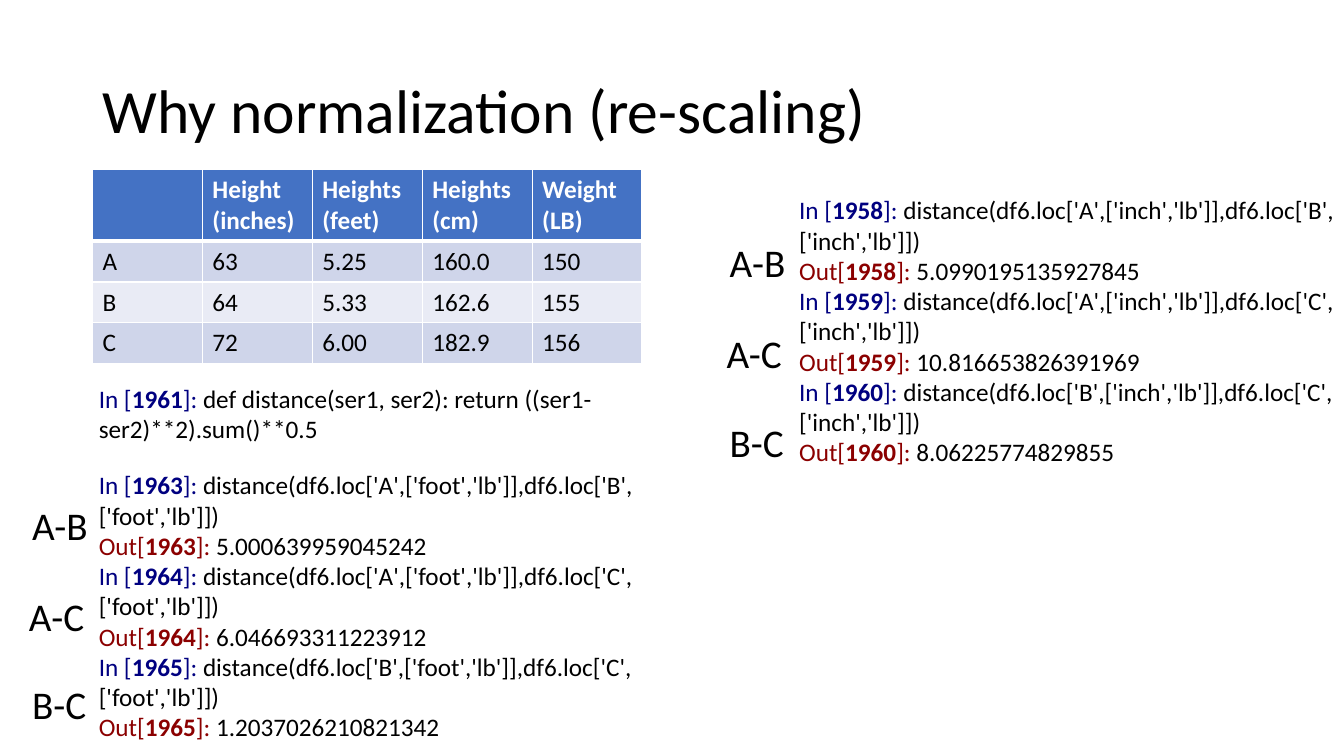
from lxml.etree import SubElement
from pptx import Presentation
from pptx.dml.color import RGBColor
from pptx.enum.text import MSO_ANCHOR, MSO_AUTO_SIZE, PP_ALIGN
from pptx.oxml import parse_xml
from pptx.oxml.ns import nsdecls, qn
from pptx.util import Cm, Pt

BLACK = RGBColor(0x00, 0x00, 0x00)
WHITE = RGBColor(0xFF, 0xFF, 0xFF)
NAVY = RGBColor(0x00, 0x00, 0x80)
DARK_RED = RGBColor(0x8B, 0x00, 0x00)
HEADER_BLUE = RGBColor(0x44, 0x72, 0xC4)
BAND_DARK = RGBColor(0xCF, 0xD5, 0xEA)
BAND_LIGHT = RGBColor(0xE9, 0xEB, 0xF5)

MEASUREMENTS = [
    ["", "Height (inches)", "Heights (feet)", "Heights (cm)", "Weight (LB)"],
    ["A", "63", "5.25", "160.0", "150"],
    ["B", "64", "5.33", "162.6", "155"],
    ["C", "72", "6.00", "182.9", "156"],
]
PAIRS = ["AB", "AC", "BC"]
INCH_RESULTS = ["5.0990195135927845", "10.816653826391969", "8.06225774829855"]
FOOT_RESULTS = ["5.000639959045242", "6.046693311223912", "1.2037026210821342"]


def add_span(para, text, size=18, color=BLACK, bold=False):
    """Append formatted text to a paragraph."""
    span = para.add_run()
    span.text = text
    span.font.name = "Calibri"
    span.font.size = Pt(size)
    span.font.bold = bold
    span.font.color.rgb = color


def add_box(page, left, top, width, height, wrap=True):
    """Add a text box, given in centimetres, and return its text frame."""
    box = page.shapes.add_textbox(Cm(left), Cm(top), Cm(width), Cm(height))
    frame = box.text_frame
    frame.word_wrap = wrap
    frame.auto_size = MSO_AUTO_SIZE.SHAPE_TO_FIT_TEXT
    return frame


def set_title(page, text):
    """Place and format the title placeholder."""
    title = page.shapes.title
    title.left, title.top = Cm(2.33), Cm(1.01)
    title.width, title.height = Cm(29.21), Cm(3.68)
    frame = title.text_frame
    frame.auto_size = MSO_AUTO_SIZE.NONE
    frame.vertical_anchor = MSO_ANCHOR.MIDDLE
    para = frame.paragraphs[0]
    para.alignment = PP_ALIGN.LEFT
    para.line_spacing = 0.9
    add_span(para, text, size=44)


def set_borders(cell, bottom):
    """Give a cell white borders, with its own bottom width in points."""
    properties = cell._tc.get_or_add_tcPr()
    widths = {"lnL": 1, "lnR": 1, "lnT": 1, "lnB": bottom}
    for position, (side, width) in enumerate(widths.items()):
        line = parse_xml(f'<a:{side} {nsdecls("a")} w="{Pt(width)}"/>')
        fill = SubElement(line, qn("a:solidFill"))
        SubElement(fill, qn("a:srgbClr"), val=str(WHITE))
        properties.insert(position, line)


def add_measurements(page):
    """Add the banded table of heights and weights."""
    rows, columns = len(MEASUREMENTS), len(MEASUREMENTS[0])
    frame = page.shapes.add_table(
        rows, columns, Cm(2.33), Cm(4.27), Cm(2.77 * columns), Cm(1.03 * rows))
    for row, values in enumerate(MEASUREMENTS):
        header = row == 0
        band = BAND_DARK if row % 2 else BAND_LIGHT
        for column, value in enumerate(values):
            cell = frame.table.cell(row, column)
            cell.fill.solid()
            cell.fill.fore_color.rgb = HEADER_BLUE if header else band
            set_borders(cell, bottom=3 if header else 1)
            if value:
                add_span(cell.text_frame.paragraphs[0], value,
                         color=WHITE if header else BLACK, bold=header)


def add_code_line(para, prompt, number, code, color):
    """Write one console line with a coloured prompt and a bold number."""
    add_span(para, f"{prompt}[", color=color)
    add_span(para, str(number), color=color, bold=True)
    add_span(para, "]:", color=color)
    add_span(para, f" {code}")


def add_session(page, left, top, first_number, unit, results):
    """Add the distance calls and their results for all pairs."""
    frame = add_box(page, left, top, 16.93, 7.18)
    para = frame.paragraphs[0]
    for index, ((first, second), result) in enumerate(zip(PAIRS, results)):
        if index:
            para = frame.add_paragraph()
        number = first_number + index
        columns = f"['{unit}','lb']"
        call = f"distance(df6.loc['{first}',{columns}],df6.loc['{second}',{columns}])"
        add_code_line(para, "In ", number, call, NAVY)
        add_code_line(frame.add_paragraph(), "Out", number, result, DARK_RED)


def add_pair_labels(page, left, top):
    """Add the large pair names beside a session."""
    offsets = [(0, 0), (-0.08, 2.29), (0, 4.52)]
    for pair, (across, down) in zip(PAIRS, offsets):
        frame = add_box(page, left + across, top + down, 1.93, 1.45, wrap=False)
        add_span(frame.paragraphs[0], "-".join(pair), size=28)


def main():
    """Build the slide and save the deck."""
    deck = Presentation()
    deck.slide_width, deck.slide_height = Cm(33.87), Cm(19.05)
    page = deck.slides.add_slide(deck.slide_layouts[5])
    set_title(page, "Why normalization (re-scaling)")
    add_measurements(page)
    add_pair_labels(page, 0.56, 12.5)
    add_session(page, 19.89, 4.78, 1958, "inch", INCH_RESULTS)
    definition = add_box(page, 2.24, 9.53, 16.93, 1.8)
    add_code_line(definition.paragraphs[0], "In ", 1961,
                  "def distance(ser1, ser2): return ((ser1-ser2)**2).sum()**0.5", NAVY)
    add_session(page, 2.24, 11.71, 1963, "foot", FOOT_RESULTS)
    add_pair_labels(page, 18.14, 5.89)
    deck.save("out.pptx")


main()
